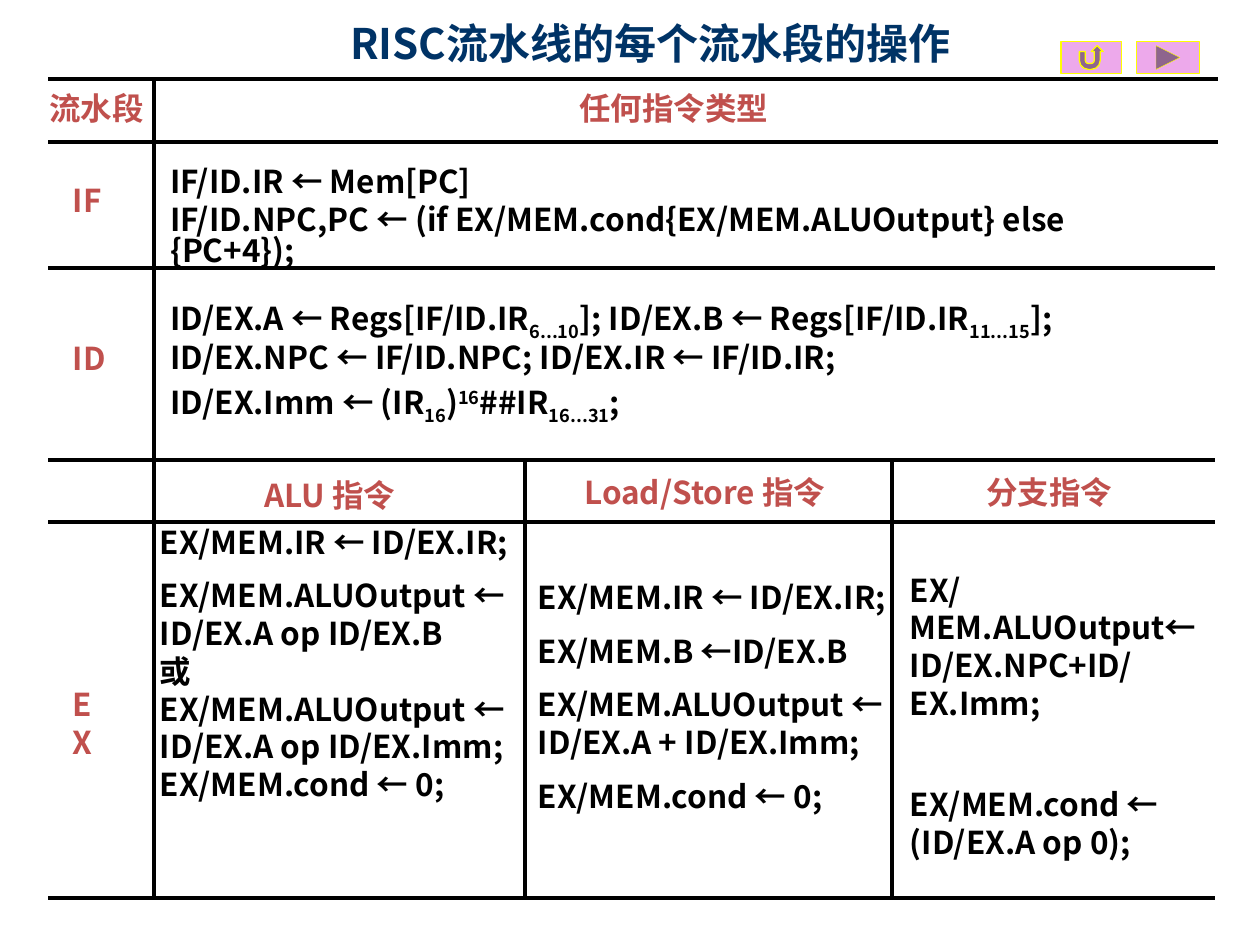
from lxml import etree
from pptx import Presentation
from pptx.dml.color import RGBColor
from pptx.enum.shapes import MSO_CONNECTOR, MSO_SHAPE
from pptx.enum.text import MSO_AUTO_SIZE
from pptx.oxml.ns import qn
from pptx.util import Cm, Pt

STRAIGHT = MSO_CONNECTOR.STRAIGHT
NEXT = MSO_SHAPE.ACTION_BUTTON_FORWARD_OR_NEXT
RETURN = MSO_SHAPE.ACTION_BUTTON_RETURN
GROW = MSO_AUTO_SIZE.SHAPE_TO_FIT_TEXT
SUB, SUP = -25000, 30000
COLORS = {"title": "003366", "head": "C0504D", "body": "000000",
          "rule": "000000", "button": "EDA9EB", "edge": "FFFF00"}


class Deck:
    font, size = "Noto Sans CJK SC", 18

    def __init__(self, slide):
        self.slide = slide

    def color(self, name):
        return RGBColor.from_string(COLORS[name])

    def run(self, p, text, color, size, base=0):
        r = p.add_run()
        r.text = text
        r.font.size, r.font.bold = Pt(size), True
        r.font.color.rgb = self.color(color)
        r.font.name = self.font
        rpr = r.font._element
        etree.SubElement(rpr, qn("a:ea"), typeface=self.font)
        if base:
            rpr.set("baseline", str(base))

    def text(self, x, y, w, h, paras, color="body", size=size,
             spacing=None, gap=9):
        """Each paragraph is a list of lines, each line a list of (text, base)."""
        sp = self.slide.shapes.add_textbox(Cm(x), Cm(y), Cm(w), Cm(h))
        tf = sp.text_frame
        tf.word_wrap, tf.auto_size = True, GROW
        for i, lines in enumerate(paras):
            p = tf.add_paragraph() if i else tf.paragraphs[0]
            p.space_before = Pt(gap if i else 0)
            if spacing:
                p.line_spacing = spacing
            for j, line in enumerate(lines):
                if j:
                    p.add_line_break()
                for part, base in line:
                    self.run(p, part, color, size, base)

    def rule(self, x1, y1, x2, y2):
        c = self.slide.shapes.add_connector(STRAIGHT, Cm(x1), Cm(y1), Cm(x2), Cm(y2))
        c.line.color.rgb, c.line.width = self.color("rule"), Pt(2.25)
        etree.SubElement(c._element.spPr, qn("a:effectLst"))

    def button(self, kind, x, y, w, h, edge):
        sp = self.slide.shapes.add_shape(kind, Cm(x), Cm(y), Cm(w), Cm(h))
        sp.shadow.inherit = False
        sp.fill.solid()
        sp.fill.fore_color.rgb = self.color("button")
        sp.line.color.rgb, sp.line.width = self.color("edge"), Pt(edge)


def plain(*paras):
    """Turn strings with line feeds into plain paragraphs."""
    return [[[(line, 0)] for line in para.split("\n")] for para in paras]


prs = Presentation()
prs.slide_width, prs.slide_height = Cm(25.4), Cm(19.05)
deck = Deck(prs.slides.add_slide(prs.slide_layouts[6]))

# Title
deck.text(6.81, 0.23, 15.19, 1.3, plain("RISC流水线的每个流水段的操作"), "title", 24)

# Rules of the grid
LEFT, RIGHT, TOP, BOTTOM, SPLIT = 0.97, 24.5, 1.6, 18.1, 9.28
for y in (TOP, 2.87, 5.41, SPLIT, 10.52, BOTTOM):
    deck.rule(LEFT, y, RIGHT + (0.06 if y < 5 else 0), y)
for x, y in ((3.1, TOP), (10.59, SPLIT), (17.98, SPLIT)):
    deck.rule(x, y, x, BOTTOM)

# Headings and stage names
for label, x, y, w in (
        ("流水段", 0.74, 1.68, 2.54), ("任何指令类型", 11.43, 1.68, 4.65),
        ("ALU 指令", 5.08, 9.47, 3.61), ("Load/Store 指令", 11.53, 9.42, 5.77),
        ("分支指令", 19.63, 9.42, 3.18),
        ("IF", 1.22, 3.53, 1.17), ("ID", 1.22, 6.71, 1.17), ("EX", 1.22, 13.69, 1.17)):
    deck.text(x, y, w, 1.02, plain(label), "head")

# IF and ID operations
for y, w, paras in (
        (3.28, 7.19, plain("IF/ID.IR ← Mem[PC]")),
        (4.06, 21.13, plain("IF/ID.NPC,PC ← (if EX/MEM.cond{EX/MEM.ALUOutput} else {PC+4});")),
        (5.99, 20.52, [[[("ID/EX.A ← Regs[IF/ID.IR", 0), ("6...10", SUB),
                         ("]; ID/EX.B ← Regs[IF/ID.IR", 0), ("11...15", SUB), ("];", 0)]]]),
        (6.83, 15.24, plain("ID/EX.NPC ← IF/ID.NPC; ID/EX.IR ← IF/ID.IR;")),
        (7.67, 10.36, [[[("ID/EX.Imm ← (IR", 0), ("16", SUB), (")", 0), ("16", SUP),
                         ("##IR", 0), ("16...31", SUB), (";", 0)]]])):
    deck.text(3.18, y, w, 0.86, paras, spacing=0.8)

# EX operations by instruction type
deck.text(2.97, 10.41, 8, 5.97, plain(
    "EX/MEM.IR ← ID/EX.IR;",
    "EX/MEM.ALUOutput ←\nID/EX.A op ID/EX.B\n或\n"
    "EX/MEM.ALUOutput ←\nID/EX.A op ID/EX.Imm;\nEX/MEM.cond ← 0;"))
deck.text(10.59, 11.53, 7.77, 5.23, plain(
    "EX/MEM.IR ← ID/EX.IR;", "EX/MEM.B ←ID/EX.B",
    "EX/MEM.ALUOutput ←\nID/EX.A + ID/EX.Imm;", "EX/MEM.cond ← 0;"))
deck.text(18.09, 11.38, 7.1, 4.45, plain(
    "EX/MEM.ALUOutput←\nID/EX.NPC+ID/EX.Imm;",
    "EX/MEM.cond ← (ID/EX.A op 0);"), gap=36)

# Navigation buttons
deck.button(NEXT, 22.91, 0.84, 1.27, 0.64, 0.25)
deck.button(RETURN, 21.39, 0.84, 1.22, 0.64, 0.75)

prs.save("out.pptx")
